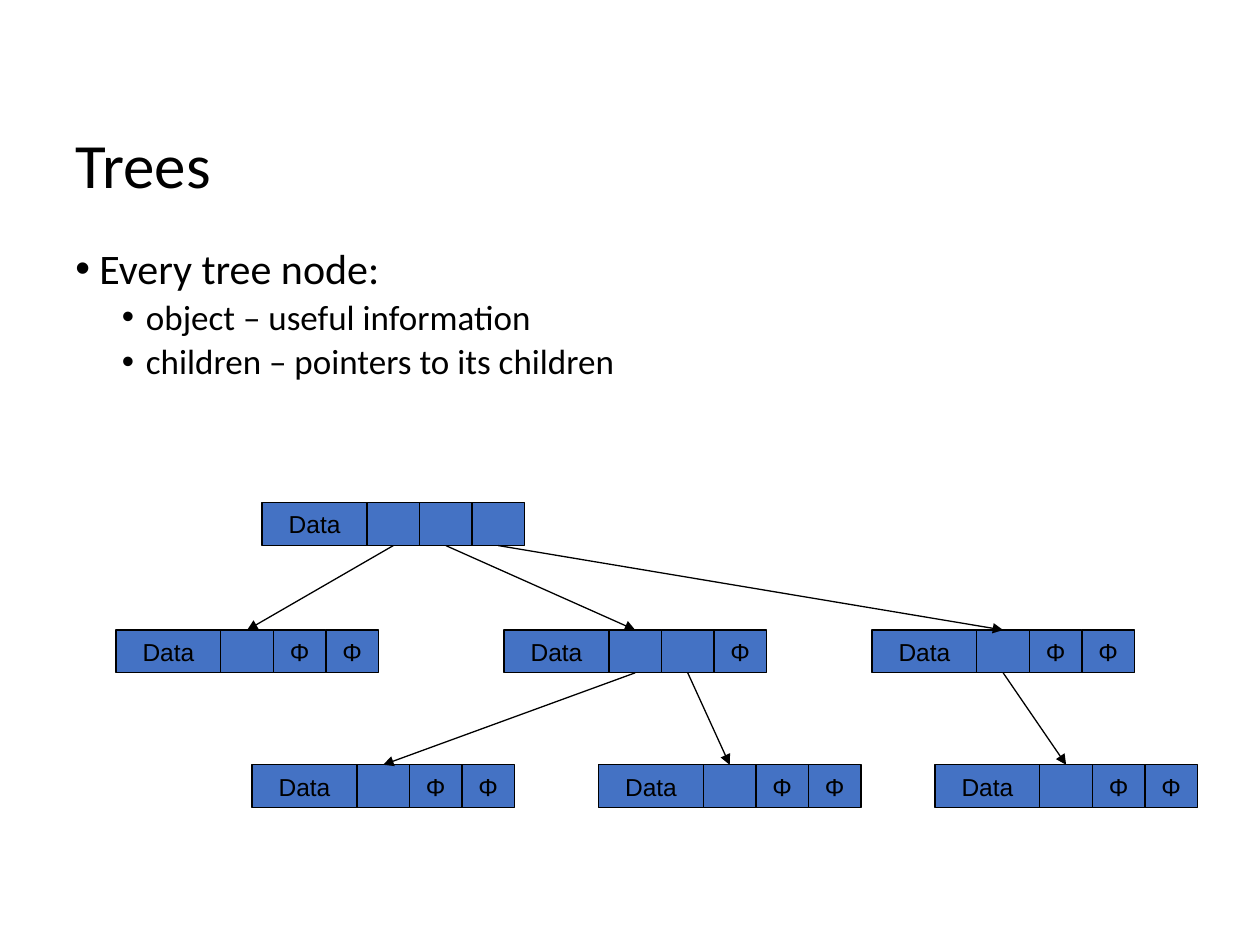
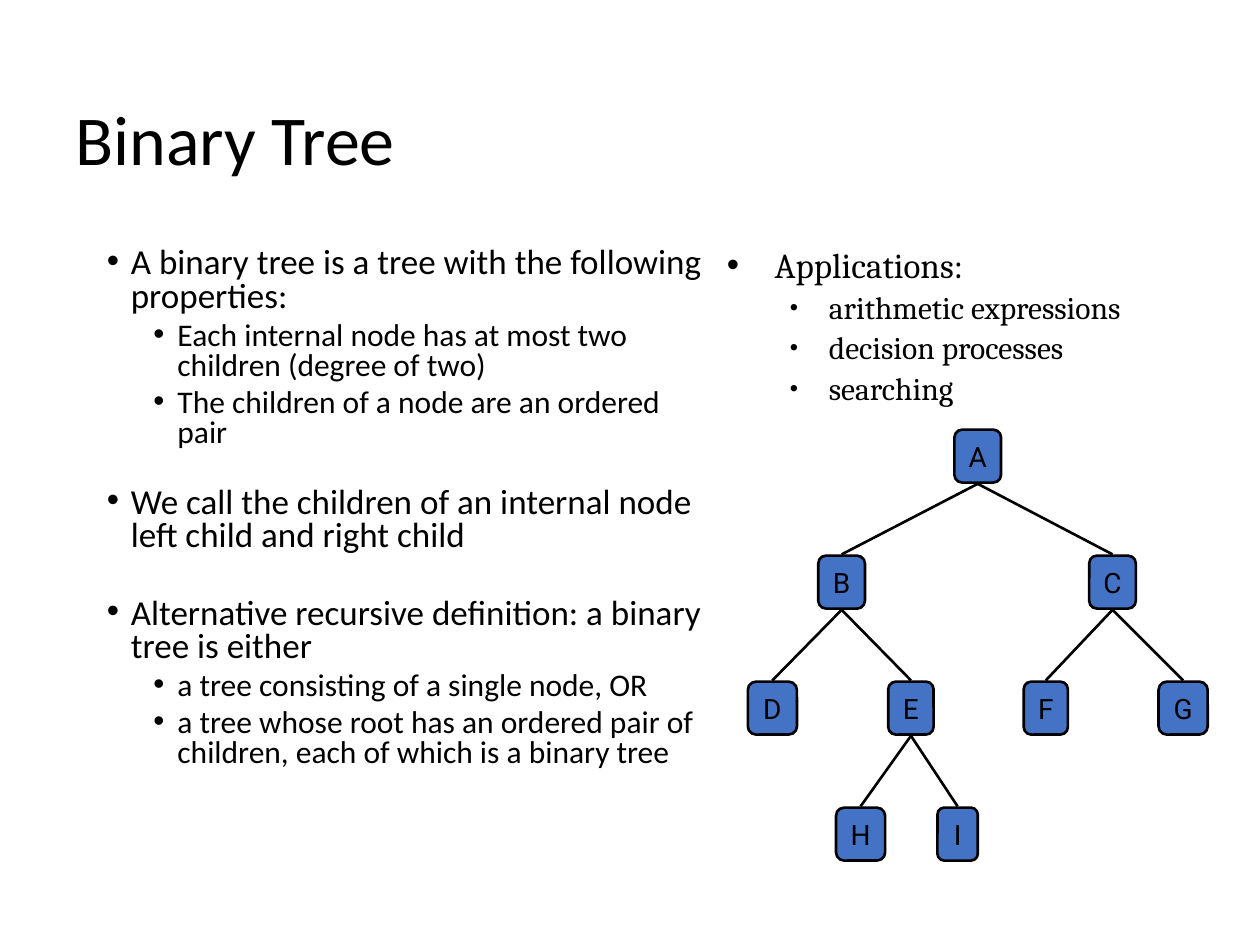
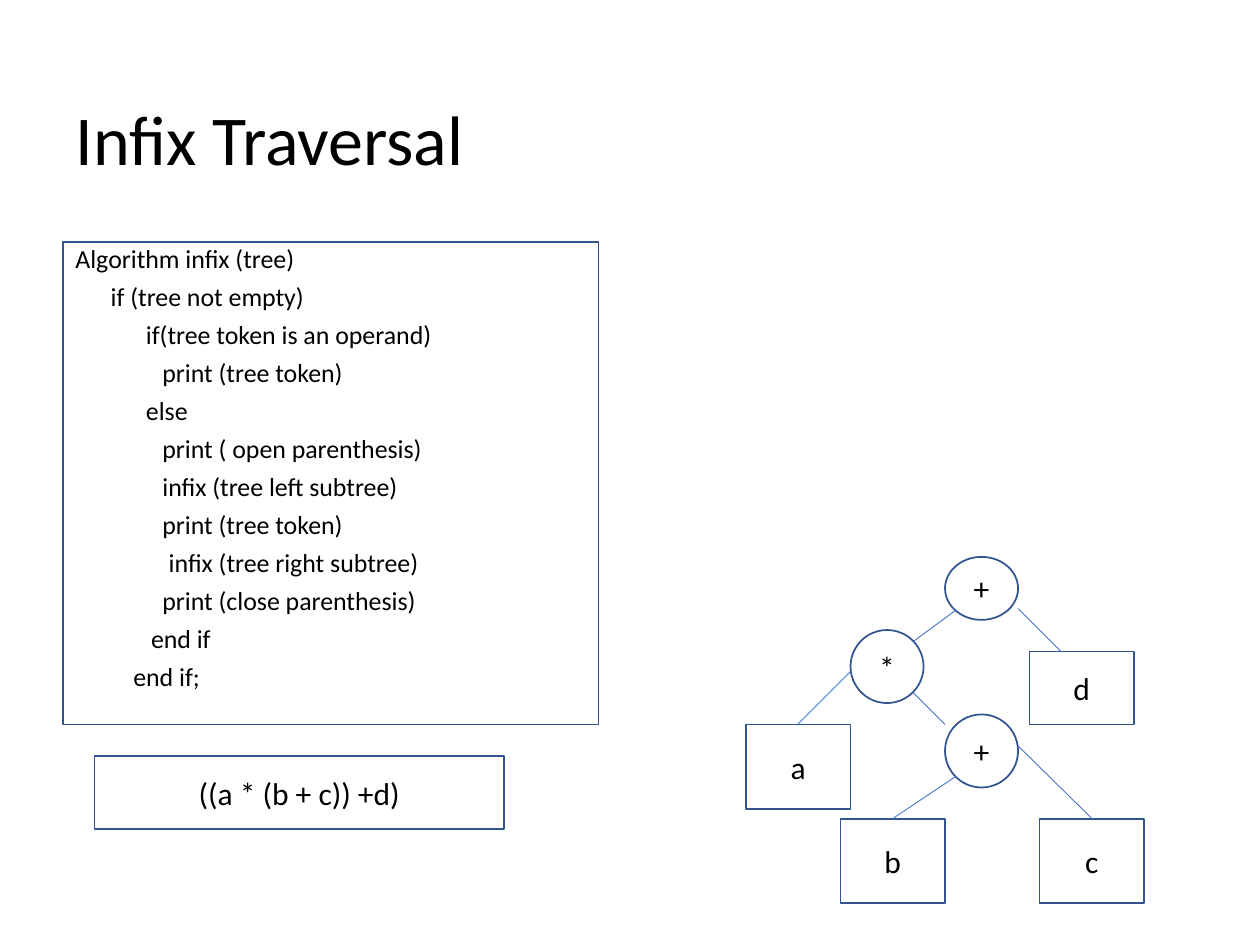
import pptx
import pptx.dml.color
import pptx.enum.shapes
import pptx.enum.text
import pptx.oxml.ns
import pptx.util
from lxml import etree

Inches = pptx.util.Inches
Pt = pptx.util.Pt
RGBColor = pptx.dml.color.RGBColor
SHAPE = pptx.enum.shapes.MSO_SHAPE
ALIGN = pptx.enum.text.PP_ALIGN
ANCHOR = pptx.enum.text.MSO_ANCHOR
qn = pptx.oxml.ns.qn

BLACK = RGBColor(0x00, 0x00, 0x00)
BLUE = RGBColor(0x44, 0x72, 0xC4)
DARK_BLUE = RGBColor(0x32, 0x54, 0x91)
BODY_FONT = "Calibri"
TITLE_ONLY = 5

# Record nodes: one wide data cell (two units) and three pointer cells.
UNIT = 5 / 12
RECORD_HEIGHT = 0.34
FIRST_POINTER = 2.5
POINTER_COUNT = 3
NULL = "Φ"


def set_values(target, values):
    """Set each named attribute of the target."""
    for name, value in values.items():
        setattr(target, name, value)


def write(para, text, size, font=BODY_FONT):
    """Add one black run of text to a paragraph."""
    span = para.add_run()
    span.text = text
    set_values(span.font, {"size": Pt(size), "name": font})
    span.font.color.rgb = BLACK


def add_page(deck, title, box, size, spacing=0.9):
    """Add a title-only page and format its title."""
    page = deck.slides.add_slide(deck.slide_layouts[TITLE_ONLY])
    left, top, width, height = box
    set_values(page.shapes.title, {
        "left": Inches(left), "top": Inches(top),
        "width": Inches(width), "height": Inches(height)})
    frame = page.shapes.title.text_frame
    set_values(frame, {
        "auto_size": pptx.enum.text.MSO_AUTO_SIZE.NONE,
        "word_wrap": True, "vertical_anchor": ANCHOR.MIDDLE})
    para = frame.paragraphs[0]
    set_values(para, {"alignment": ALIGN.LEFT, "line_spacing": spacing})
    write(para, title, size)
    return page


def add_shape(shapes, kind, box, line, weight, fill=None,
              text="", size=18, font=BODY_FONT, wrap=True):
    """Add a preset shape with centred text."""
    shape = shapes.add_shape(kind, *map(Inches, box))
    shape.shadow.inherit = False
    if fill is None:
        shape.fill.background()
    else:
        shape.fill.solid()
        shape.fill.fore_color.rgb = fill
    shape.line.color.rgb = line
    shape.line.width = Pt(weight)
    if text:
        set_values(shape.text_frame, {
            "word_wrap": wrap, "vertical_anchor": ANCHOR.MIDDLE})
        para = shape.text_frame.paragraphs[0]
        para.alignment = ALIGN.CENTER
        write(para, text, size, font)
    return shape


def add_line(page, start, end, color, weight, arrow=False):
    """Add a straight line, with an arrowhead at its end on request."""
    line = page.shapes.add_connector(
        pptx.enum.shapes.MSO_CONNECTOR.STRAIGHT, *map(Inches, start + end))
    line.line.color.rgb = color
    line.line.width = Pt(weight)
    if arrow:
        etree.SubElement(line.line._get_or_add_ln(), qn("a:tailEnd"), type="triangle")
    etree.SubElement(line._element.spPr, qn("a:effectLst"))


def add_paragraphs(page, box, rows, spacing, font=BODY_FONT):
    """Add a text box; each row is text, size, space before, indent, hang, bullet percent."""
    frame = page.shapes.add_textbox(*map(Inches, box)).text_frame
    frame.word_wrap = True
    for index, (text, size, before, indent, hang, bullet) in enumerate(rows):
        para = frame.add_paragraph() if index else frame.paragraphs[0]
        set_values(para, {"line_spacing": spacing, "space_before": Pt(before)})
        write(para, text, size, font)
        props = para._p.get_or_add_pPr()
        props.set("marL", str(Inches(indent)))
        props.set("indent", str(-Inches(hang)))
        if bullet:
            etree.SubElement(props, qn("a:buSzPct"), val=str(bullet * 1000))
            etree.SubElement(props, qn("a:buFont"), typeface="Arial")
            etree.SubElement(props, qn("a:buChar"), char="•")


def main_point(text, size, before=7.5):
    """Describe a first-level bullet."""
    return text, size, before, 0.19, 0.19, 100


def sub_point(text, size):
    """Describe a second-level bullet."""
    return text, size, 3.8, 0.56, 0.19, 100


def add_record(page, left, top, used):
    """Draw a record whose pointers after the used ones are null."""
    group = page.shapes.add_group_shape()
    pointers = ["" if slot < used else NULL for slot in range(POINTER_COUNT)]
    cells = [(0, 2, "Data")] + [(2 + slot, 1, text) for slot, text in enumerate(pointers)]
    for start, span, text in cells:
        add_shape(group.shapes, SHAPE.RECTANGLE,
                  (left + start * UNIT, top, span * UNIT, RECORD_HEIGHT),
                  BLACK, 0.75, BLUE, text, 14, "Arial")


def add_record_tree(page, left, top):
    """Draw linked records, placed relative to the corner of the tree."""
    records = {  # left, top, pointer cells left open
        "root": (1.16, 0, 3),
        "first": (0, 1.01, 1), "second": (3.08, 1.01, 2), "third": (6, 1.01, 1),
        "fourth": (1.08, 2.08, 1), "fifth": (3.83, 2.08, 1), "sixth": (6.5, 2.08, 1)}
    children = {"root": ("first", "second", "third"),
                "second": ("fourth", "fifth"), "third": ("sixth",)}
    for x, y, used in records.values():
        add_record(page, left + x, top + y, used)
    for parent, names in children.items():
        x, y, _ = records[parent]
        for slot, name in enumerate(names):
            child_x, child_y, _ = records[name]
            add_line(page,
                     (left + x + (FIRST_POINTER + slot) * UNIT, top + y + RECORD_HEIGHT),
                     (left + child_x + FIRST_POINTER * UNIT, top + child_y),
                     BLACK, 0.75, arrow=True)


def add_letter_tree(page, left, top):
    """Draw a binary tree of letters, one level per inch."""
    height, gap = 0.42, 0.01
    nodes = {  # centre, level, width, parent
        "A": (1.83, 0, 0.37, None),
        "B": (0.75, 1, 0.37, "A"), "C": (2.9, 1, 0.37, "A"),
        "D": (0.2, 2, 0.39, "B"), "E": (1.3, 2, 0.36, "B"),
        "F": (2.37, 2, 0.35, "C"), "G": (3.46, 2, 0.39, "C"),
        "H": (0.9, 3, 0.39, "E"), "I": (1.67, 3, 0.32, "E")}
    for name, (center, level, width, parent) in nodes.items():
        add_shape(page.shapes, SHAPE.ROUNDED_RECTANGLE,
                  (left + center - width / 2, top + level, width, height),
                  BLACK, 1.5, BLUE, name, 16, "Roboto", wrap=False)
        if parent:
            parent_center, parent_level = nodes[parent][:2]
            add_line(page,
                     (left + parent_center, top + parent_level + height + gap),
                     (left + center, top + level - gap), BLACK, 1.5)


def add_expression_tree(page, left, top):
    """Draw operators as ellipses and operands as rectangles."""
    operators = [("+", 1.58, 0, 0.5), ("+", 1.58, 1.25, 0.58), ("*", 0.83, 0.58, 0.58)]
    operands = [("d", 2.25, 0.75, 0.58), ("a", 0, 1.33, 0.67),
                ("b", 0.75, 2.08, 0.67), ("c", 2.33, 2.08, 0.67)]
    edges = [((1.67, 0.42), (1.33, 0.67)), ((2.16, 0.41), (2.5, 0.75)),
             ((0.83, 0.91), (0.41, 1.33)), ((1.33, 1.08), (1.58, 1.33)),
             ((1.67, 1.74), (1.16, 2.08)), ((2.16, 1.5), (2.75, 2.08))]
    for kind, width, nodes in ((SHAPE.OVAL, 0.58, operators),
                               (SHAPE.RECTANGLE, 0.83, operands)):
        for text, x, y, height in nodes:
            add_shape(page.shapes, kind, (left + x, top + y, width, height),
                      DARK_BLUE, 1, text=text)
    for start, end in edges:
        add_line(page, (left + start[0], top + start[1]),
                 (left + end[0], top + end[1]), BLUE, 0.5)


def add_code(page, left, top):
    """Write the algorithm in an outlined box."""
    lines = [
        (0, "Algorithm infix (tree)"),
        (0.28, "if (tree not empty)"),
        (0.56, "if(tree token is an operand)"),
        (0.69, "print (tree token)"),
        (0.56, "else"),
        (0.69, "print ( open parenthesis)"),
        (0.69, "infix (tree left subtree)"),
        (0.69, "print (tree token)"),
        (0.74, "infix (tree right subtree)"),
        (0.69, "print (close parenthesis)"),
        (0.6, "end if"),
        (0.46, "end if;")]
    rows = [(text, 14.8, 7.5, indent, 0, None) for indent, text in lines]
    add_paragraphs(page, (left, top, 4.25, 3.75), rows, 0.8)
    add_shape(page.shapes, SHAPE.RECTANGLE, (left, top, 4.25, 3.83), DARK_BLUE, 1)


def build_trees(deck):
    """Build the page on general trees."""
    page = add_page(deck, "Trees", (0.5, 1, 8.5, 0.67), 36)
    add_paragraphs(page, (0.5, 1.92, 9, 4.25), [
        main_point("Every tree node:", 24),
        sub_point("object – useful information", 20),
        sub_point("children – pointers to its children", 20)], 0.9)
    add_record_tree(page, 0.92, 3.99)


def build_binary_tree(deck):
    """Build the page on binary trees."""
    page = add_page(deck, "Binary Tree", (0.5, 0.77, 9, 0.73), 40)
    add_paragraphs(page, (0.75, 1.92, 4.92, 5.33), [
        main_point("A binary tree is a tree with the following properties:", 20),
        sub_point("Each internal node has at most two children (degree of two)", 18),
        sub_point("The children of a node are an ordered pair", 18),
        main_point("We call the children of an internal node left child and right child",
                   20, 21.5),
        main_point("Alternative recursive definition: a binary tree is either", 20, 25),
        sub_point("a tree consisting of a single node, OR", 18),
        sub_point("a tree whose root has an ordered pair of children, "
                  "each of which is a binary tree", 18)], 0.8)
    uses = ("arithmetic expressions", "decision processes", "searching")
    add_paragraphs(page, (5.67, 1.92, 3.58, 1.67),
                   [("Applications:", 20, 4, 0.38, 0.38, 100)]
                   + [(use, 18, 3.6, 0.81, 0.31, 75) for use in uses], 0.9, "Cambria")
    add_letter_tree(page, 5.93, 3.41)


def build_infix_traversal(deck):
    """Build the page on infix traversal."""
    page = add_page(deck, "Infix Traversal", (0.5, 0.83, 9, 0.53), 40, 1)
    add_code(page, 0.5, 1.92)
    add_shape(page.shapes, SHAPE.RECTANGLE, (0.75, 6, 3.25, 0.58),
              DARK_BLUE, 1, text="((a * (b + c)) +d)")
    add_expression_tree(page, 5.92, 4.42)


deck = pptx.Presentation()
set_values(deck, {"slide_width": Inches(10), "slide_height": Inches(7.5)})
for build in (build_trees, build_binary_tree, build_infix_traversal):
    build(deck)
deck.save("out.pptx")
